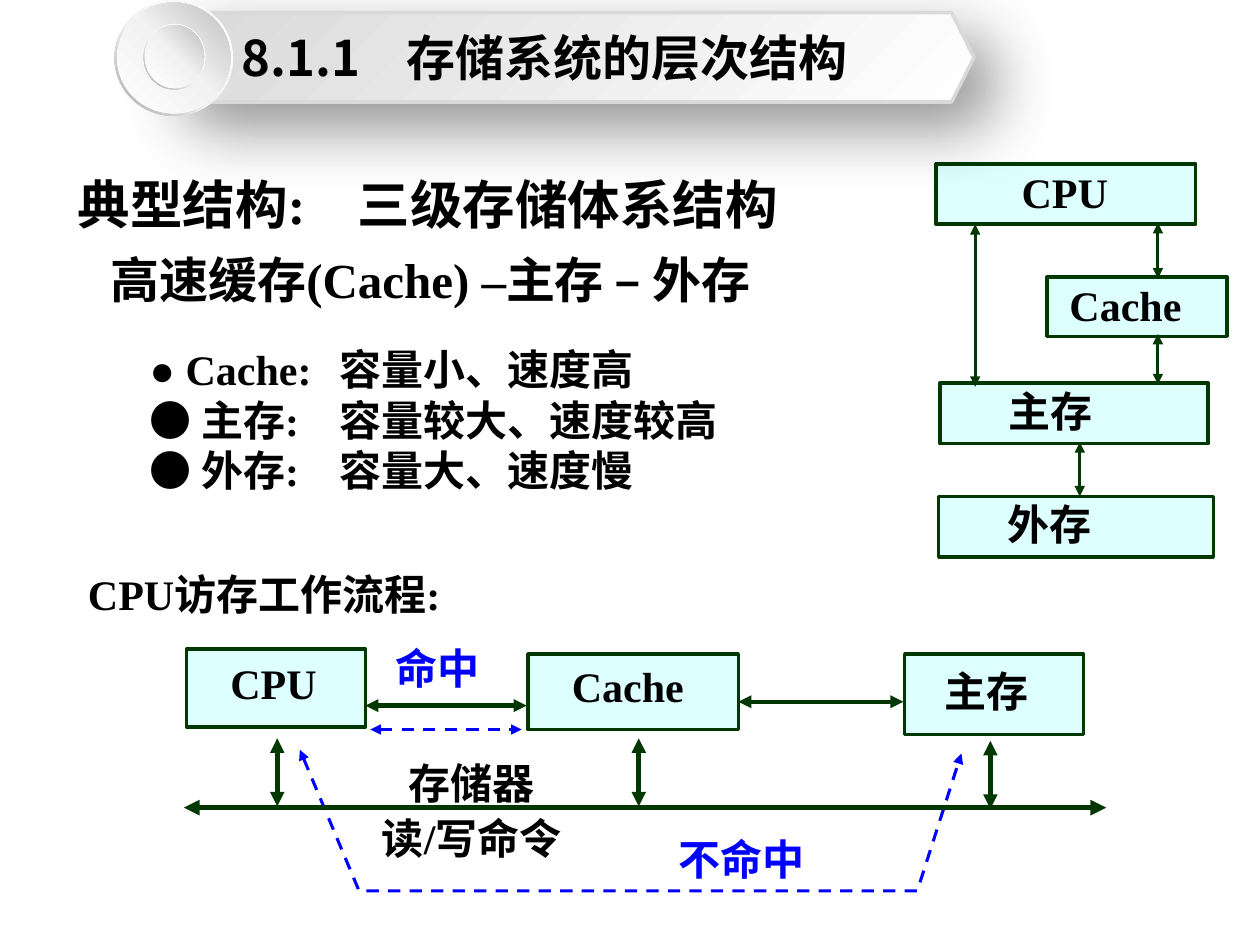
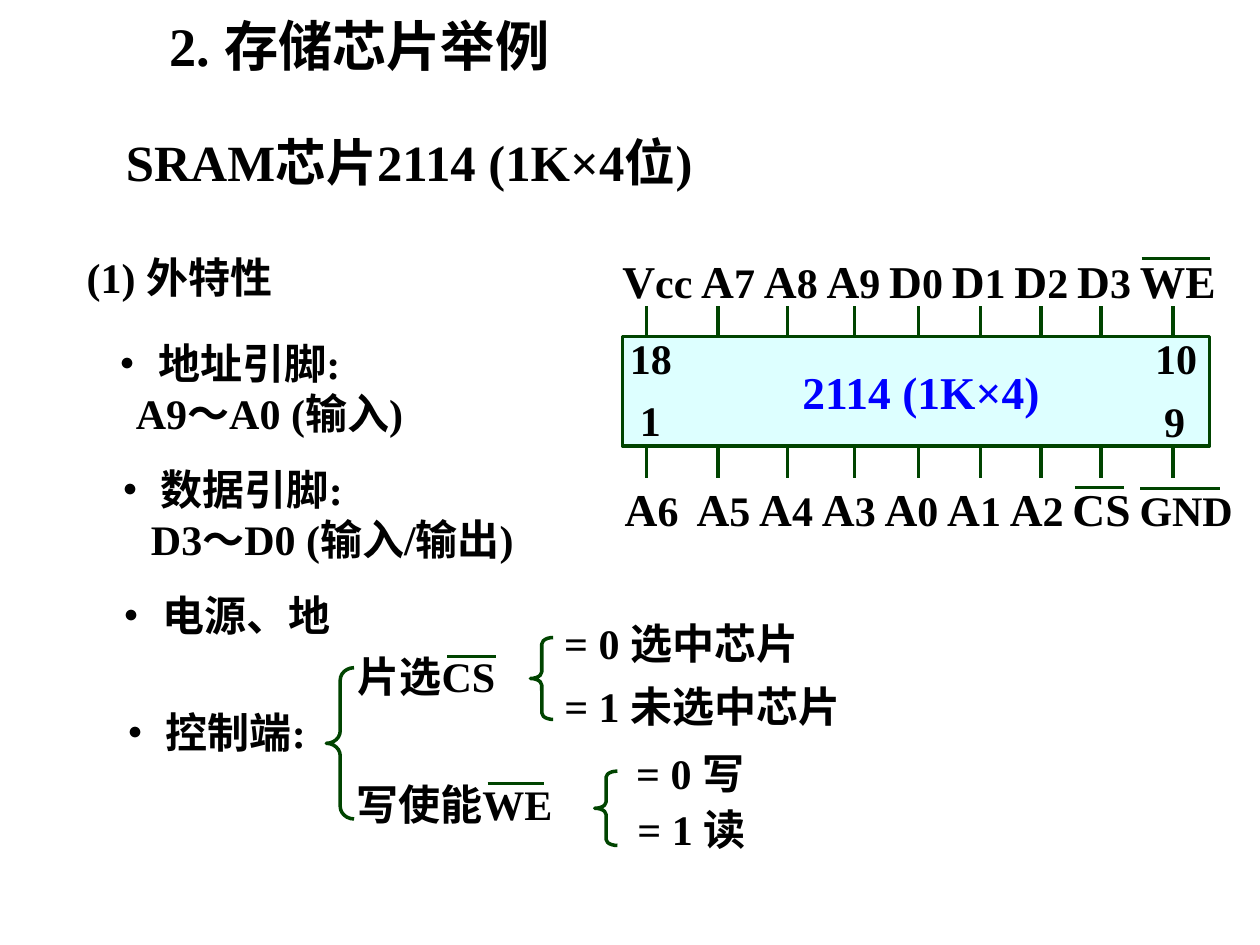
from lxml import etree
from pptx import Presentation
from pptx.dml.color import RGBColor
from pptx.enum.dml import MSO_LINE
from pptx.enum.shapes import MSO_CONNECTOR, MSO_SHAPE
from pptx.enum.text import MSO_ANCHOR, PP_ALIGN
from pptx.oxml import parse_xml
from pptx.oxml.ns import nsdecls, qn
from pptx.util import Inches, Pt

RECT, HEX = MSO_SHAPE.RECTANGLE, MSO_SHAPE.HEXAGON
DONUT, OVAL, BRACE = MSO_SHAPE.DONUT, MSO_SHAPE.OVAL, MSO_SHAPE.LEFT_BRACE
STRAIGHT, DASH = MSO_CONNECTOR.STRAIGHT, MSO_LINE.DASH
TOP, MIDDLE = MSO_ANCHOR.TOP, MSO_ANCHOR.MIDDLE
LEFT, CENTER = PP_ALIGN.LEFT, PP_ALIGN.CENTER

BLACK = RGBColor(0x00, 0x00, 0x00)
BLUE = RGBColor(0x00, 0x00, 0xFF)
AQUA = RGBColor(0xDD, 0xFF, 0xFF)
PINE = RGBColor(0x00, 0x38, 0x00)
GREEN = RGBColor(0x00, 0x44, 0x00)
GREY = RGBColor(0xD9, 0xD9, 0xD9)
SERIF, SANS = "Times New Roman", "Noto Sans CJK SC"


def label(page, at, lines, size=24, color=BLACK, font=SERIF, kind=None, edge=PINE,
          indents=(0, 0, 0), tab=0, space=1.0, align=LEFT, before=0):
    """Text box, or filled shape when a kind is given; a line is a string or (text, size) runs."""
    at = [Inches(v) for v in at]
    if kind is None:
        shape = page.shapes.add_textbox(*at)
    else:
        shape = page.shapes.add_shape(kind, *at)
        shape.shadow.inherit = False
        shape.fill.solid()
        shape.fill.fore_color.rgb = AQUA
        shape.line.color.rgb = edge
        shape.line.width = Pt(2)
    frame = shape.text_frame
    frame.word_wrap = True
    frame.vertical_anchor = TOP
    for i, (line, indent) in enumerate(zip(lines, indents)):
        para = frame.add_paragraph() if i else frame.paragraphs[0]
        para.alignment = align
        para.line_spacing = space
        if i and before:
            para.space_before = Pt(before)
        props = para._p.get_or_add_pPr()
        if indent:
            props.set("marL", str(Inches(indent)))
        if tab:
            stops = etree.SubElement(props, qn("a:tabLst"))
            etree.SubElement(stops, qn("a:tab"), pos=str(Inches(tab)), algn="l")
        for text, points in ([(line, size)] if isinstance(line, str) else line):
            run = para.add_run()
            run.text = text
            run.font.size = Pt(points)
            run.font.bold = True
            run.font.name = font
            run.font.color.rgb = color
            etree.SubElement(run._r.get_or_add_rPr(), qn("a:ea"), typeface=SANS)
    return shape


def draw(page, points, color, width, arrows=False, dash=False):
    """Straight connector for two points, open freeform for more."""
    points = [(Inches(x), Inches(y)) for x, y in points]
    if len(points) == 2:
        shape = page.shapes.add_connector(STRAIGHT, *points[0], *points[1])
    else:
        path = page.shapes.build_freeform(*points[0])
        path.add_line_segments(points[1:], close=False)
        shape = path.convert_to_shape()
        shape.fill.background()
    shape.line.color.rgb = color
    shape.line.width = Pt(width)
    if dash:
        shape.line.dash_style = DASH
    props = shape.element.spPr
    if arrows:
        for end in ("a:headEnd", "a:tailEnd"):
            etree.SubElement(props.find(qn("a:ln")), qn(end), type="triangle")
    etree.SubElement(props, qn("a:effectLst"))


deck = Presentation()
deck.slide_width, deck.slide_height = Inches(10), Inches(7.5)
blank = deck.slide_layouts[6]

# ---- Slide 1: memory hierarchy
page = deck.slides.add_slide(blank)
label(page, (0.52, 1.26, 6.34, 1.19),
      ["典型结构:\t三级存储体系结构", [("高速缓存(Cache) –主存 – 外存", 28)]],
      size=30, indents=(0, 0.26), tab=2.22, space=Pt(40), before=2)

# Tower of levels
for at, text, indent in [
    ((7.43, 1.3, 2.06, 0.48), "CPU", 0.58),
    ((8.31, 2.2, 1.43, 0.47), "Cache", 0.08),
    ((7.46, 3.04, 2.13, 0.48), "主存", 0.45),
    ((7.45, 3.94, 2.18, 0.48), "外存", 0.45),
]:
    label(page, at, [text], kind=RECT, indents=(indent,), space=0.95)
for x, top, low in [(7.74, 1.78, 3.07), (9.19, 1.77, 2.21),
                    (9.19, 2.65, 3.05), (8.57, 3.51, 3.94)]:
    draw(page, [(x, top), (x, low)], PINE, 1.75, arrows=True)

# Notes on each level and on the flow
label(page, (1.09, 2.68, 5.63, 1.31),
      ["● Cache:\t容量小、速度高", "● 主存:\t容量较大、速度较高", "● 外存:\t容量大、速度慢"],
      tab=1.51)
label(page, (2.71, 5.92, 2.07, 0.95), ["存储器", "读/写命令"], space=1.1, align=CENTER)
label(page, (3.04, 5.05, 1.23, 0.5), ["命中"], color=BLUE)
label(page, (5.29, 6.57, 1.83, 0.5), ["不命中"], color=BLUE)
label(page, (0.6, 4.46, 4.04, 0.5), ["CPU访存工作流程:"])

# Hit and miss routes
draw(page, [(2.94, 5.79), (4.14, 5.79)], BLUE, 1.75, arrows=True, dash=True)
draw(page, [(2.38, 5.95), (2.85, 7.07), (7.28, 7.07), (7.63, 5.98)],
     BLUE, 1.75, arrows=True, dash=True)

# Units on the bus
for at, text, indent, space in [
    ((1.48, 5.15, 1.42, 0.62), "CPU", 0.25, 1.05),
    ((4.19, 5.19, 1.67, 0.6), "Cache", 0.25, 1.0),
    ((7.18, 5.19, 1.42, 0.64), "主存", 0.22, 1.1),
]:
    label(page, at, [text], kind=RECT, indents=(indent,), space=space)
for start, end, width in [
    ((2.9, 5.6), (4.18, 5.6), 2.5),
    ((5.86, 5.57), (7.17, 5.57), 2.5),
    ((1.46, 6.41), (8.78, 6.41), 3),
    ((2.2, 5.86), (2.2, 6.4), 2.75),
    ((5.07, 5.86), (5.07, 6.4), 2.75),
    ((7.86, 5.88), (7.86, 6.42), 2.75),
]:
    draw(page, [start, end], PINE, width, arrows=True)

# Title band with round badge, all in gradients
band = label(page, (1.22, 0.1, 6.51, 0.71), ["8.1.1\t存储系统的层次结构"], size=28,
             font=SANS, kind=HEX, edge=GREY, tab=1.31)
band.text_frame.vertical_anchor = MIDDLE
ring = ([(0, "FFFFFF"), (55, "F2F2F2"), (100, "A6A6A6")], 135)
disc = ([(0, "FFFFFF"), (51, "F2F2F2"), (100, "BFBFBF")], 315)
parts = [(band, ([(0, "FFFFFF"), (100, "D9D9D9")], 225))]
for kind, at, tone in [
    (DONUT, (0.91, 0, 0.94, 0.92), ring),
    (OVAL, (0.93, 0.02, 0.9, 0.88), disc),
    (DONUT, (1.14, 0.19, 0.49, 0.52), ring),
    (OVAL, (1.15, 0.2, 0.47, 0.5), disc),
]:
    shape = page.shapes.add_shape(kind, *[Inches(v) for v in at])
    shape.shadow.inherit = False
    shape.line.fill.background()
    if kind == DONUT:
        shape.adjustments[0] = 0.049
    parts.append((shape, tone))
for shape, (stops, angle) in parts:
    shape.fill.background()
    marks = "".join(f'<a:gs pos="{pos * 1000}"><a:srgbClr val="{tint}"/></a:gs>'
                    for pos, tint in stops)
    props = shape.element.spPr
    props.replace(props.find(qn("a:noFill")), parse_xml(
        f'<a:gradFill {nsdecls("a")} rotWithShape="1"><a:gsLst>{marks}</a:gsLst>'
        f'<a:lin ang="{angle * 60000}" scaled="0"/></a:gradFill>'))
band.element.spPr.find(qn("a:effectLst")).append(parse_xml(
    f'<a:outerShdw {nsdecls("a")} blurRad="{Pt(38)}" dist="{Pt(19)}" dir="{45 * 60000}" '
    'algn="tl" rotWithShape="0"><a:srgbClr val="000000"><a:alpha val="42000"/></a:srgbClr>'
    '</a:outerShdw>'))

# ---- Slide 2: memory chip example
page = deck.slides.add_slide(blank)
label(page, (1.25, 0.05, 3.83, 0.62), ["2. 存储芯片举例"], size=31)
label(page, (0.9, 0.99, 4.89, 0.58), ["SRAM芯片2114 (1K×4位)"], size=29)

# Pin groups and control values
for at, lines, indent in [
    ((0.59, 1.95, 2.7, 0.5), ["(1) 外特性"], 0),
    ((0.75, 2.63, 3.65, 0.91), ["• 地址引脚:", "A9～A0 (输入)"], 0.23),
    ((0.77, 3.63, 4.24, 0.91), ["• 数据引脚:", "D3～D0 (输入/输出)"], 0.33),
    ((0.78, 4.63, 2.38, 0.5), ["• 电源、地"], 0),
    ((0.81, 5.56, 1.92, 0.5), ["• 控制端:"], 0),
    ((2.74, 5.11, 1.59, 0.51), ["片选CS"], 0),
    ((2.73, 6.13, 2.31, 0.51), ["写使能WE"], 0),
    ((4.38, 4.85, 2.7, 0.5), ["= 0 选中芯片"], 0),
    ((4.38, 5.35, 2.81, 0.5), ["= 1 未选中芯片"], 0),
    ((4.95, 5.88, 1.59, 0.5), ["= 0 写"], 0),
    ((4.96, 6.33, 1.62, 0.5), ["= 1 读"], 0),
]:
    label(page, at, lines, indents=(0, indent))
for at, bend in [((2.59, 5.3, 0.22, 1.2), 0.45), ((4.21, 5.06, 0.18, 0.65), 0.29),
                 ((4.72, 6.12, 0.18, 0.59), 0.27)]:
    brace = page.shapes.add_shape(BRACE, *[Inches(v) for v in at])
    brace.shadow.inherit = False
    brace.fill.background()
    brace.line.color.rgb = GREEN
    brace.line.width = Pt(2)
    brace.adjustments[0] = bend

# Pins run behind the chip body
for x in (5.13, 5.7, 6.25, 6.78, 7.29, 7.78, 8.26, 8.74, 9.31):
    draw(page, [(x, 2.43), (x, 3.79)], GREEN, 2)
label(page, (4.94, 2.67, 4.66, 0.87), [], kind=RECT, edge=GREEN)

# Pin names: large part | small part
for at, names, first, tab in [
    ((4.84, 1.96, 5.38, 0.53), "V|cc A|7 A|8 A|9 D|0 D|1 D|2 D|3 WE|", " ", 0),
    ((4.86, 3.77, 5.28, 0.53), "A|6 A|5 A|4 A|3 A|0 A|1 A|2 CS| |GND", "\t", 0.57),
]:
    runs = []
    for i, name in enumerate(names.split()):
        large, small = name.split("|")
        gap = "" if i == 0 else first if i == 1 else " "
        runs += [(gap, 20), (large, 26), (small, 24)]
    label(page, at, [[run for run in runs if run[0]]], tab=tab)

# Chip name and corner pin numbers
label(page, (6.27, 2.84, 2.92, 0.53), ["2114 (1K×4)"], size=26, color=BLUE)
for x, y, number in [(4.98, 3.08, "1"), (9.14, 3.09, "9"),
                     (9.07, 2.59, "10"), (4.9, 2.59, "18")]:
    label(page, (x, y, 0.75, 0.5), [number])

# Bars over active-low names
for left, right, y, width in [
    (3.55, 3.94, 5.21, 2), (3.87, 4.32, 6.22, 2),
    (9.06, 9.6, 2.05, 1.75), (8.53, 8.92, 3.87, 1.75), (9.05, 9.68, 3.88, 1.75),
]:
    draw(page, [(left, y), (right, y)], GREEN, width)

deck.save("out.pptx")
